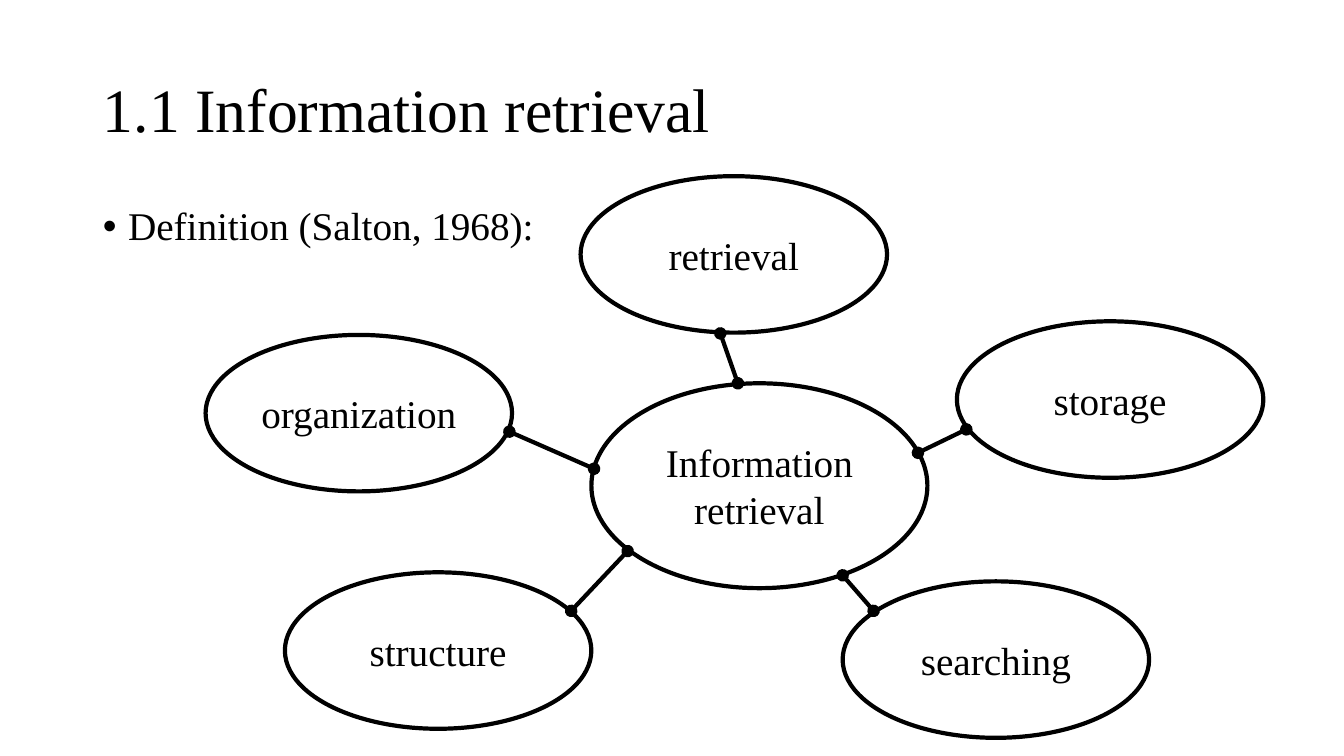
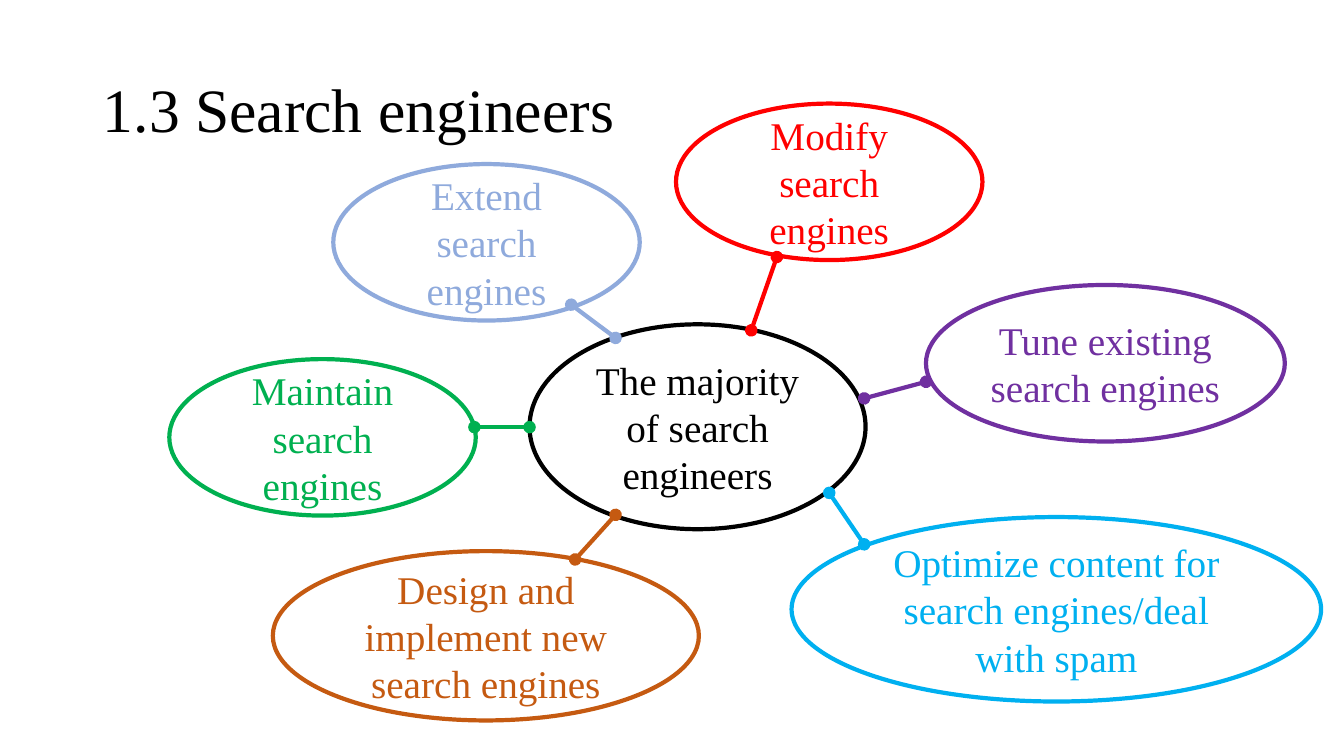
from dataclasses import dataclass

from pptx import Presentation
from pptx.dml.color import RGBColor
from pptx.enum.shapes import MSO_CONNECTOR as Connector, MSO_SHAPE as Shape
from pptx.enum.text import MSO_ANCHOR as Anchor, MSO_AUTO_SIZE as AutoSize, PP_ALIGN as Align
from pptx.oxml.ns import qn
from pptx.util import Inches, Pt
from lxml.etree import SubElement


@dataclass(frozen=True)
class Theme:
    font: str = "Times New Roman"
    title_size: int = 44
    text_size: int = 28
    line_width: int = 3
    paper: str = "FFFFFF"
    ink: str = "000000"
    blue: str = "8FAADC"
    green: str = "00B050"
    purple: str = "7030A0"
    red: str = "FF0000"
    brown: str = "C55A11"
    sky: str = "00B0F0"


theme = Theme()
deck = Presentation()
deck.slide_width, deck.slide_height = Inches(13.33), Inches(7.5)


def place(left, top, *size):
    """Turn percentages of the slide's width and height into lengths."""
    sides = (deck.slide_width, deck.slide_height) * 2
    return [int(side * share / 100) for side, share in zip(sides, (left, top, *size))]


def write(box, text, size, color, align, anchor):
    frame = box.text_frame
    frame.word_wrap = True
    frame.auto_size = AutoSize.NONE
    frame.vertical_anchor = anchor
    para = frame.paragraphs[0]
    para.alignment = align
    span = para.add_run()
    span.text = text
    span.font.name = theme.font
    span.font.size = Pt(size)
    span.font.color.rgb = RGBColor.from_string(color)
    return para


# Boxes and points are in percent of the slide's width and height.
TITLE_AREA = (6.9, 5.3, 86.3, 19.3)
BODY_AREA = (6.9, 26.7, 86.3, 63.5)
HUB = (25, 27.1)
TOPIC = (22.8, 20.7)
TITLE_AND_BODY, TITLE_ONLY = 1, 5

# Each topic: text, colour, left and top, size, line start, line end.
pages = [
    {
        "title": "1.1 Information retrieval",
        "body": "Definition (Salton, 1968):",
        "hub": ("Information retrieval", (44, 50.7)),
        "topics": [
            ("organization", theme.ink, (15.3, 44.3), TOPIC, (37.9, 57.1), (44.2, 62)),
            ("structure", theme.ink, (21.2, 75.7), TOPIC, (42.5, 80.8), (46.7, 72.9)),
            ("storage", theme.ink, (71.2, 42.5), TOPIC, (71.9, 56.8), (68.3, 59.9)),
            ("searching", theme.ink, (62.7, 76.9), TOPIC, (65, 80.8), (62.7, 76.1)),
            ("retrieval", theme.ink, (43.2, 23.3), TOPIC, (53.6, 44.1), (54.9, 50.7)),
        ],
    },
    {
        "title": "1.3 Search engineers",
        "body": None,
        "hub": ("The majority of search engineers", (39.4, 42.9)),
        "topics": [
            ("Extend search engines", theme.blue,
             (24.8, 21.7), TOPIC, (42.5, 40.3), (45.8, 44.7)),
            ("Maintain search engines", theme.green,
             (12.6, 47.5), TOPIC, (35.3, 56.5), (39.4, 56.5)),
            ("Tune existing search engines", theme.purple,
             (68.9, 37.7), (26.7, 20.7), (68.9, 50.5), (64.3, 52.7)),
            ("Modify search engines", theme.red,
             (50.3, 13.7), TOPIC, (57.8, 34), (55.9, 43.7)),
            ("Design and implement new search engines", theme.brown,
             (20.3, 72.9), (31.7, 22.4), (42.8, 74), (45.8, 68.1)),
            ("Optimize content for search engines/deal with spam", theme.sky,
             (58.9, 68.4), (39.4, 24.4), (64.3, 72), (61.7, 65.2)),
        ],
    },
]

for content in pages:
    layout = TITLE_AND_BODY if content["body"] else TITLE_ONLY
    page = deck.slides.add_slide(deck.slide_layouts[layout])

    title = page.shapes.title
    title.left, title.top, title.width, title.height = place(*TITLE_AREA)
    para = write(title, content["title"], theme.title_size, theme.ink, Align.LEFT, Anchor.MIDDLE)
    para.line_spacing = 0.9

    if content["body"]:
        body = page.placeholders[1]
        body.left, body.top, body.width, body.height = place(*BODY_AREA)
        para = write(body, content["body"], theme.text_size, theme.ink, Align.LEFT, Anchor.TOP)
        para.line_spacing = 0.9
        para.space_before = Pt(10)
        layout_props = para._p.get_or_add_pPr()
        layout_props.set("marL", str(Inches(0.25)))
        layout_props.set("indent", str(-Inches(0.25)))
        SubElement(layout_props, qn("a:buFont")).set("typeface", "Arial")
        SubElement(layout_props, qn("a:buChar")).set("char", "•")

    hub_text, hub_corner = content["hub"]
    ellipses = [(hub_text, theme.ink, hub_corner, HUB)]
    ellipses += [topic[:4] for topic in content["topics"]]
    for text, color, corner, size in ellipses:
        ellipse = page.shapes.add_shape(Shape.OVAL, *place(*corner, *size))
        ellipse.shadow.inherit = False
        ellipse.fill.solid()
        ellipse.fill.fore_color.rgb = RGBColor.from_string(theme.paper)
        ellipse.line.color.rgb = RGBColor.from_string(color)
        ellipse.line.width = Pt(theme.line_width)
        write(ellipse, text, theme.text_size, color, Align.CENTER, Anchor.MIDDLE)

    for _, color, _, _, start, end in content["topics"]:
        link = page.shapes.add_connector(Connector.STRAIGHT, *place(*start, *end))
        link.line.color.rgb = RGBColor.from_string(color)
        link.line.width = Pt(theme.line_width)
        outline = link.line._get_or_add_ln()
        for tip in ("a:headEnd", "a:tailEnd"):
            SubElement(outline, qn(tip)).set("type", "oval")
        SubElement(link._element.spPr, qn("a:effectLst"))

deck.save("out.pptx")
